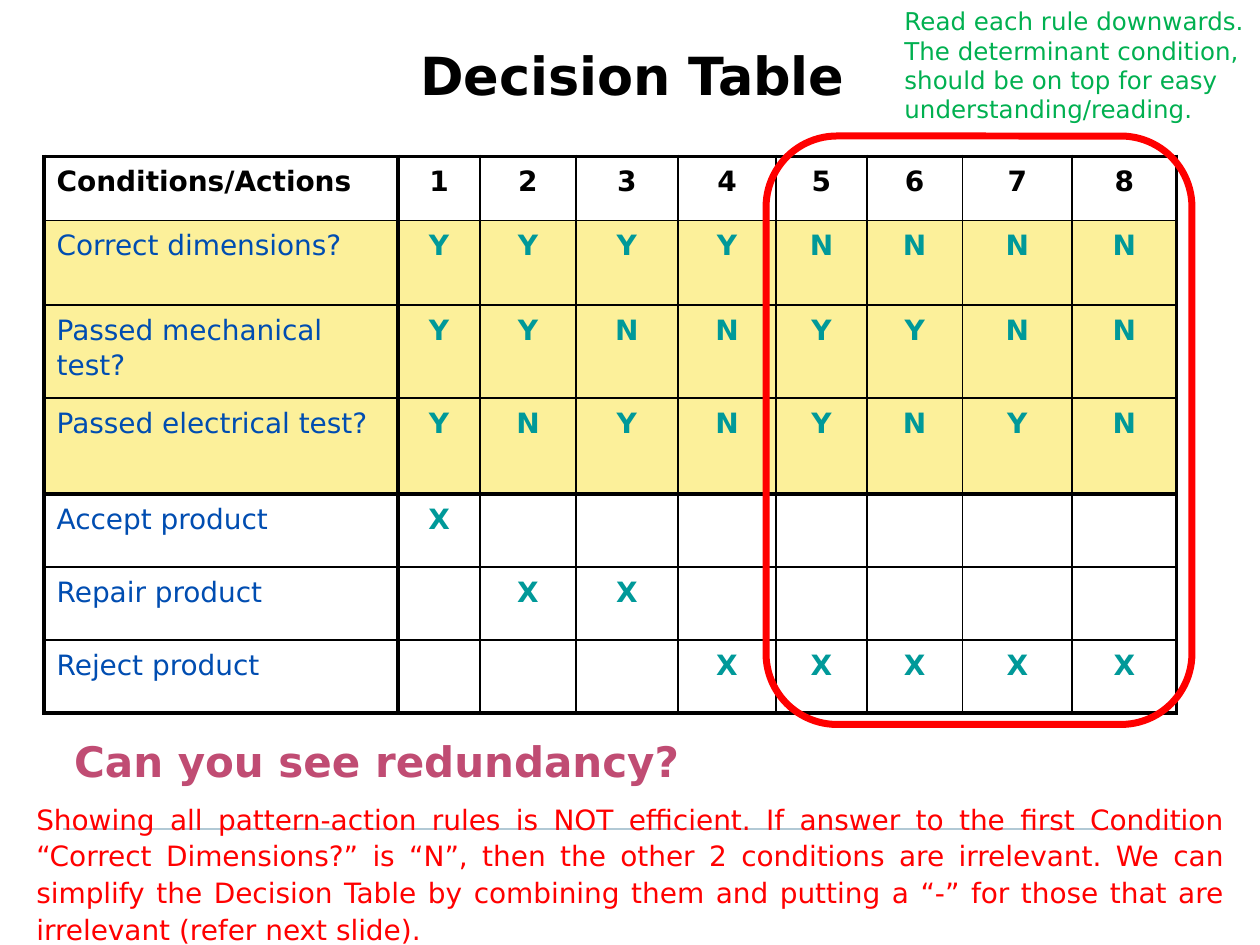
from dataclasses import dataclass

from lxml.etree import SubElement
from pptx import Presentation
from pptx.dml.color import RGBColor
from pptx.enum.shapes import MSO_CONNECTOR as Connector, MSO_SHAPE as Shape
from pptx.enum.text import MSO_AUTO_SIZE as AutoSize, PP_ALIGN as Align
from pptx.oxml.ns import qn
from pptx.util import Inches, Pt

TITLE = "Decision Table"
READING_TIP = (
    "Read each rule downwards. The determinant condition, "
    "should be on top for easy understanding/reading."
)
QUESTION = "Can you see redundancy?"
EXPLANATION = (
    "Showing all pattern-action rules is NOT efficient. If answer to the first "
    "Condition “Correct Dimensions?” is “N”, then the other 2 conditions are "
    "irrelevant. We can simplify the Decision Table by combining them and putting "
    "a “-” for those that are irrelevant (refer next slide)."
)
HEADER = ("Conditions/Actions", "12345678")
CONDITIONS = [
    ("Correct dimensions?", "YYYYNNNN"),
    ("Passed mechanical test?", "YYNNYYNN"),
    ("Passed electrical test?", "YNYNYNYN"),
]
ACTIONS = [
    ("Accept product", "X       "),
    ("Repair product", " XX     "),
    ("Reject product", "   XXXXX"),
]

GRID_COLUMNS, GRID_ROWS = 1000, 750
CELL = Inches(0.01)
TITLE_AREA = (322, 29, 360, 60)
TIP_AREA = (708, 0, 292, 104)
QUESTION_AREA = (49, 575, 512, 55)
EXPLANATION_AREA = (19, 629, 963, 129)
REDUNDANT_AREA = (608, 108, 338, 467)
FOOTER_RULE = (950, 658, 50, 658)
TABLE_CORNER = (35, 124)
RULE_COLUMNS = [281, 65, 76, 81, 78, 72, 76, 87, 83]
TABLE_ROWS = [51, 67, 74, 76, 58, 58, 58]


@dataclass(frozen=True)
class Theme:
    font: str = "DejaVu Sans"
    ink: str = "000000"
    label: str = "004DB1"
    mark: str = "009999"
    condition_fill: str = "FCF09A"
    question: str = "C04C73"
    alert: str = "FF0000"
    tip: str = "00B050"
    footer: str = "B2C9D5"
    title_size: float = 30
    question_size: float = 24
    body_size: float = 16
    tip_size: float = 14
    heavy: float = 2.25
    thin: float = 1
    footer_width: float = 1.25
    highlight_width: float = 4
    line_spacing: float = 1.1


THEME = Theme()


def on_grid(*places):
    return [place * CELL for place in places]


def write(frame, words, size, color, bold=False, align=Align.LEFT, spacing=None):
    frame.text = words
    paragraph = frame.paragraphs[0]
    paragraph.alignment = align
    paragraph.line_spacing = spacing
    for run in paragraph.runs:
        run.font.name = THEME.font
        run.font.size = Pt(size)
        run.font.bold = bold
        run.font.color.rgb = RGBColor.from_string(color)


def add_words(slide, area, words, size, color, wrap=True, **style):
    frame = slide.shapes.add_textbox(*on_grid(*area)).text_frame
    frame.word_wrap = wrap
    frame.auto_size = AutoSize.SHAPE_TO_FIT_TEXT
    write(frame, words, size, color, **style)


def draw_borders(cell, widths):
    properties = cell._tc.get_or_add_tcPr()
    for side, width in widths.items():
        border = SubElement(properties, qn(f"a:ln{side}"), w=str(Pt(width)))
        SubElement(SubElement(border, qn("a:solidFill")), qn("a:srgbClr"), val=THEME.ink)


def add_decision_table(slide):
    entries = [HEADER, *CONDITIONS, *ACTIONS]
    first_action = 1 + len(CONDITIONS)
    heavy_rows = {0, first_action, len(entries)}
    heavy_columns = {0, 1, len(RULE_COLUMNS)}
    size = (sum(RULE_COLUMNS), sum(TABLE_ROWS))
    table = slide.shapes.add_table(
        len(entries), len(RULE_COLUMNS), *on_grid(*TABLE_CORNER, *size)
    ).table
    table.first_row = table.horz_banding = False
    for column, width in zip(table.columns, RULE_COLUMNS):
        column.width = width * CELL
    for row, height in zip(table.rows, TABLE_ROWS):
        row.height = height * CELL

    def weight(edge, heavy_edges):
        return THEME.heavy if edge in heavy_edges else THEME.thin

    for r, (label, marks) in enumerate(entries):
        for c, words in enumerate([label, *marks]):
            cell = table.cell(r, c)
            draw_borders(cell, {
                "L": weight(c, heavy_columns),
                "R": weight(c + 1, heavy_columns),
                "T": weight(r, heavy_rows),
                "B": weight(r + 1, heavy_rows),
            })
            if 0 < r < first_action:
                cell.fill.solid()
                cell.fill.fore_color.rgb = RGBColor.from_string(THEME.condition_fill)
            else:
                cell.fill.background()
            color = THEME.ink if r == 0 else THEME.mark if c else THEME.label
            write(
                cell.text_frame, words.strip(), THEME.body_size, color,
                bold=r == 0 or c > 0,
                align=Align.CENTER if c else Align.LEFT,
                spacing=THEME.line_spacing,
            )


def style_line(line, color, width):
    line.color.rgb = RGBColor.from_string(color)
    line.width = Pt(width)


def main():
    deck = Presentation()
    deck.slide_width, deck.slide_height = on_grid(GRID_COLUMNS, GRID_ROWS)
    slide = deck.slides.add_slide(deck.slide_layouts[6])

    footer = slide.shapes.add_connector(Connector.STRAIGHT, *on_grid(*FOOTER_RULE))
    style_line(footer.line, THEME.footer, THEME.footer_width)
    SubElement(footer._element.spPr, qn("a:effectLst"))

    add_words(slide, TITLE_AREA, TITLE, THEME.title_size, THEME.ink,
              wrap=False, bold=True, align=Align.CENTER)
    add_words(slide, EXPLANATION_AREA, EXPLANATION, THEME.body_size, THEME.alert,
              align=Align.JUSTIFY, spacing=THEME.line_spacing)
    add_words(slide, QUESTION_AREA, QUESTION, THEME.question_size, THEME.question,
              bold=True, spacing=THEME.line_spacing)
    add_decision_table(slide)

    redundant = slide.shapes.add_shape(Shape.ROUNDED_RECTANGLE, *on_grid(*REDUNDANT_AREA))
    redundant.shadow.inherit = False
    redundant.fill.background()
    style_line(redundant.line, THEME.alert, THEME.highlight_width)

    add_words(slide, TIP_AREA, READING_TIP, THEME.tip_size, THEME.tip)
    deck.save("out.pptx")


if __name__ == "__main__":
    main()
